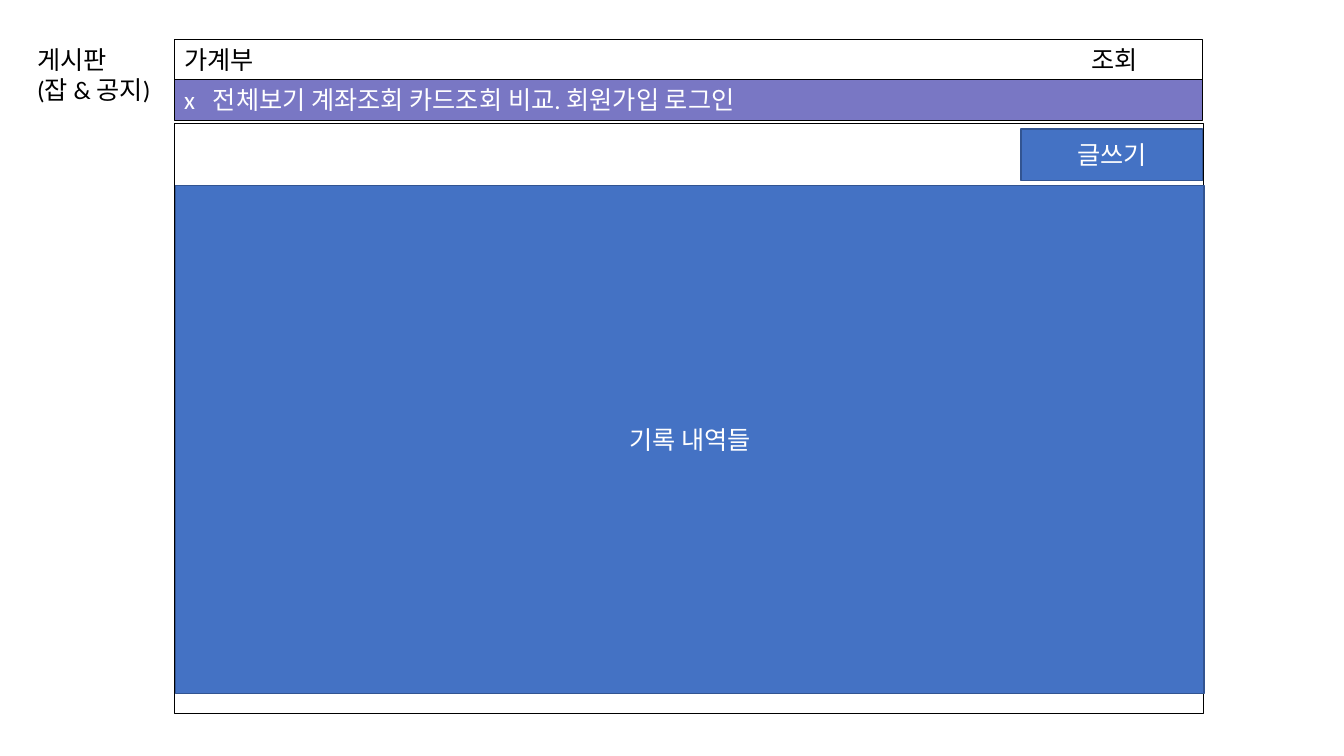
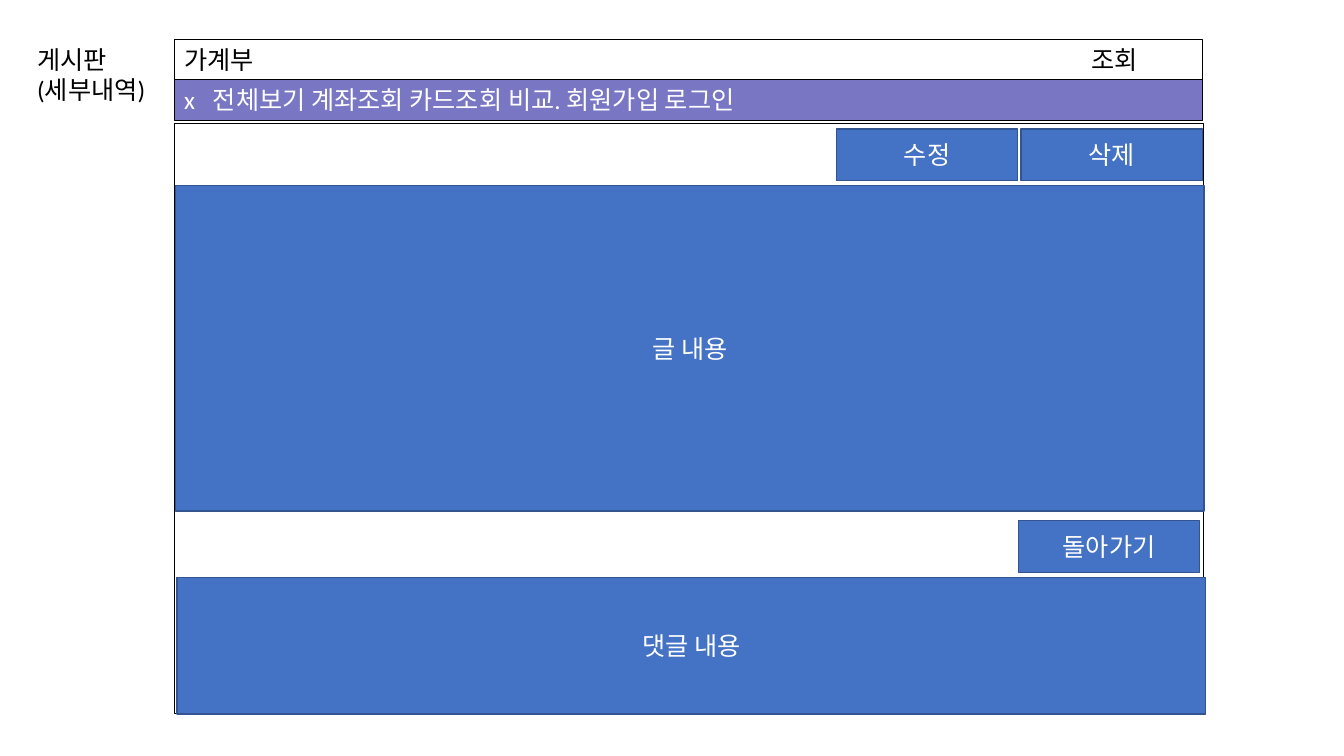
from collections import namedtuple
from dataclasses import dataclass

from lxml.etree import SubElement
from pptx import Presentation
from pptx.dml.color import RGBColor
from pptx.enum.shapes import MSO_SHAPE
from pptx.enum.text import MSO_ANCHOR, PP_ALIGN
from pptx.oxml.ns import qn
from pptx.util import Pt

Box = namedtuple("Box", "x y w h")


@dataclass(frozen=True)
class Theme:
    black: str = "000000"
    white: str = "FFFFFF"
    menu: str = "7977C4"
    block: str = "4472C4"
    edge: str = "325491"
    font: str = "Calibri"
    size: float = 18
    thin: float = 0.75
    thick: float = 1


THEME = Theme()
PAGE = Box(124.5, 28, 734.5, 482)
NOTE = Box(19.5, 28, 100, 51)
BAR = 29
HEAD = 60
BUTTON = Box(0, 64, 129.6, 37)
STEP = 132


def paint(shape, fill, line, width):
    shape.shadow.inherit = False
    if fill:
        shape.fill.solid()
        shape.fill.fore_color.rgb = RGBColor.from_string(fill)
    else:
        shape.fill.background()
    shape.line.color.rgb = RGBColor.from_string(line)
    shape.line.width = Pt(width)


def write(shape, lines, color, align=PP_ALIGN.LEFT, anchor=MSO_ANCHOR.TOP, stop=None):
    """Fill a shape with text; stop is the place of its tab in points."""
    frame = shape.text_frame
    frame.text = "\n".join(lines)
    for key, value in {"word_wrap": True, "vertical_anchor": anchor}.items():
        setattr(frame, key, value)
    form = {"name": THEME.font, "size": Pt(THEME.size)}
    for para in frame.paragraphs:
        para.alignment = align
        if stop:
            tabs = SubElement(para._p.get_or_add_pPr(), qn("a:tabLst"))
            SubElement(tabs, qn("a:tab"), pos=str(Pt(stop)), algn="l")
        for run in para.runs:
            for key, value in form.items():
                setattr(run.font, key, value)
            run.font.color.rgb = RGBColor.from_string(color)


def rect(slide, box, fill=None, line=THEME.black, width=THEME.thin):
    shape = slide.shapes.add_shape(MSO_SHAPE.RECTANGLE, *map(Pt, box))
    paint(shape, fill, line, width)
    return shape


def block(slide, box, text):
    shape = rect(slide, box, THEME.block, THEME.edge, THEME.thick)
    write(shape, [text], THEME.white, PP_ALIGN.CENTER, MSO_ANCHOR.MIDDLE)


def button(slide, page, text, top=BUTTON.y, right=0):
    """Place a button by its gap from the right edge of the page."""
    left = page.x + page.w - BUTTON.w - right
    block(slide, Box(left, page.y + top, BUTTON.w, BUTTON.h), text)


def panel(slide, page, text, top, height, shift=1):
    block(slide, Box(page.x + shift, page.y + top, page.w, height), text)


def label(slide, box, lines):
    write(slide.shapes.add_textbox(*map(Pt, box)), lines, THEME.black)


def shell(slide, page):
    """Draw the title bar, the menu bar and the empty body."""
    bars = (
        ("가계부\t조회", None, THEME.black, 648),
        ("x\t전체보기 계좌조회 카드조회 비교. 회원가입 로그인", THEME.menu, THEME.white, 20.5),
    )
    for row, (text, fill, color, stop) in enumerate(bars):
        bar = rect(slide, Box(page.x, page.y + row * BAR, page.w, BAR), fill)
        write(bar, [text], color, stop=stop)
    rect(slide, Box(page.x + 0.5, page.y + HEAD, page.w, page.h - HEAD))


def board(slide, page):
    panel(slide, page, "기록 내역들", 104.5, 363)
    button(slide, page, "글쓰기")


def detail(slide, page):
    panel(slide, page, "글 내용", 104.5, 232.5)
    for col, text in enumerate(("삭제", "수정")):
        button(slide, page, text, right=col * STEP)
    button(slide, page, "돌아가기", top=344, right=2)
    panel(slide, page, "댓글 내용", 384.5, 97.5, shift=2)


def main():
    deck = Presentation()
    deck.slide_width, deck.slide_height = Pt(960), Pt(540)
    views = (
        (["게시판", "(잡 & 공지)"], board),
        (["게시판", "(세부내역)"], detail),
    )
    for lines, draw in views:
        slide = deck.slides.add_slide(deck.slide_layouts[6])
        label(slide, NOTE, lines)
        shell(slide, PAGE)
        draw(slide, PAGE)
    deck.save("out.pptx")


if __name__ == "__main__":
    main()
